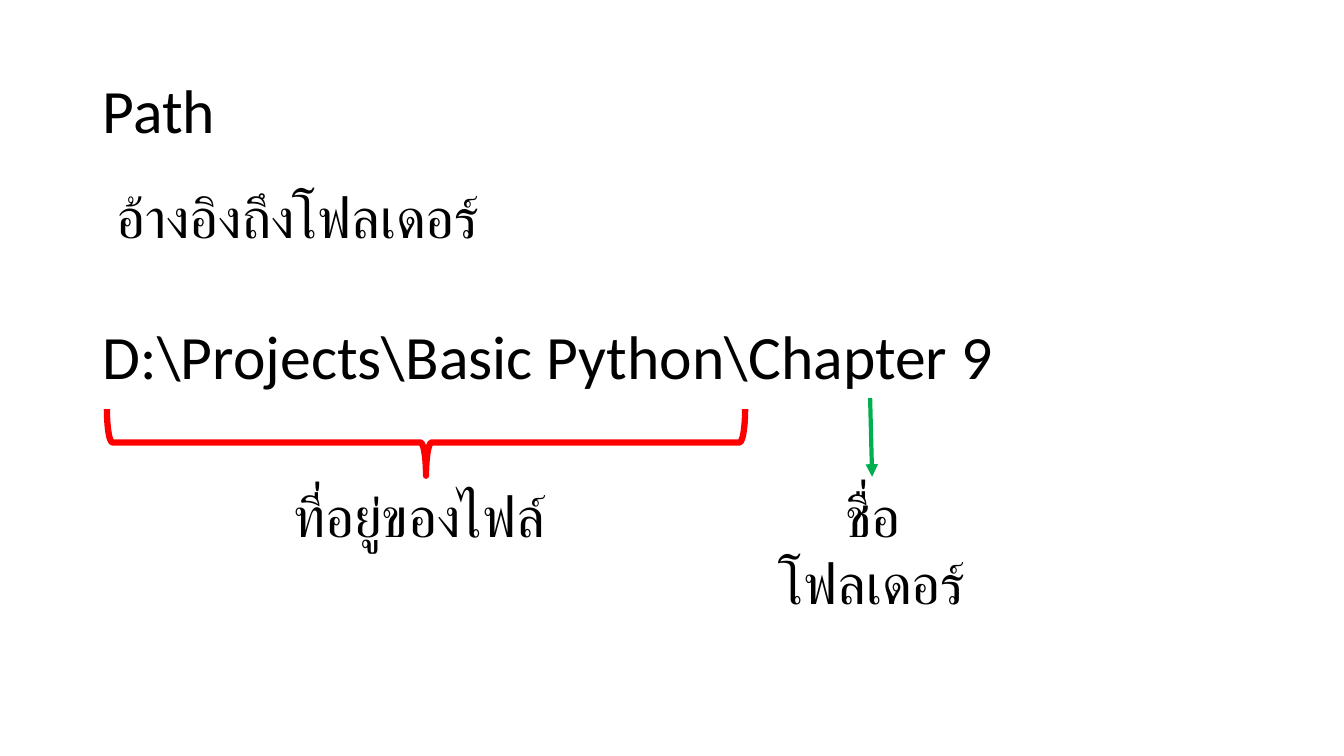
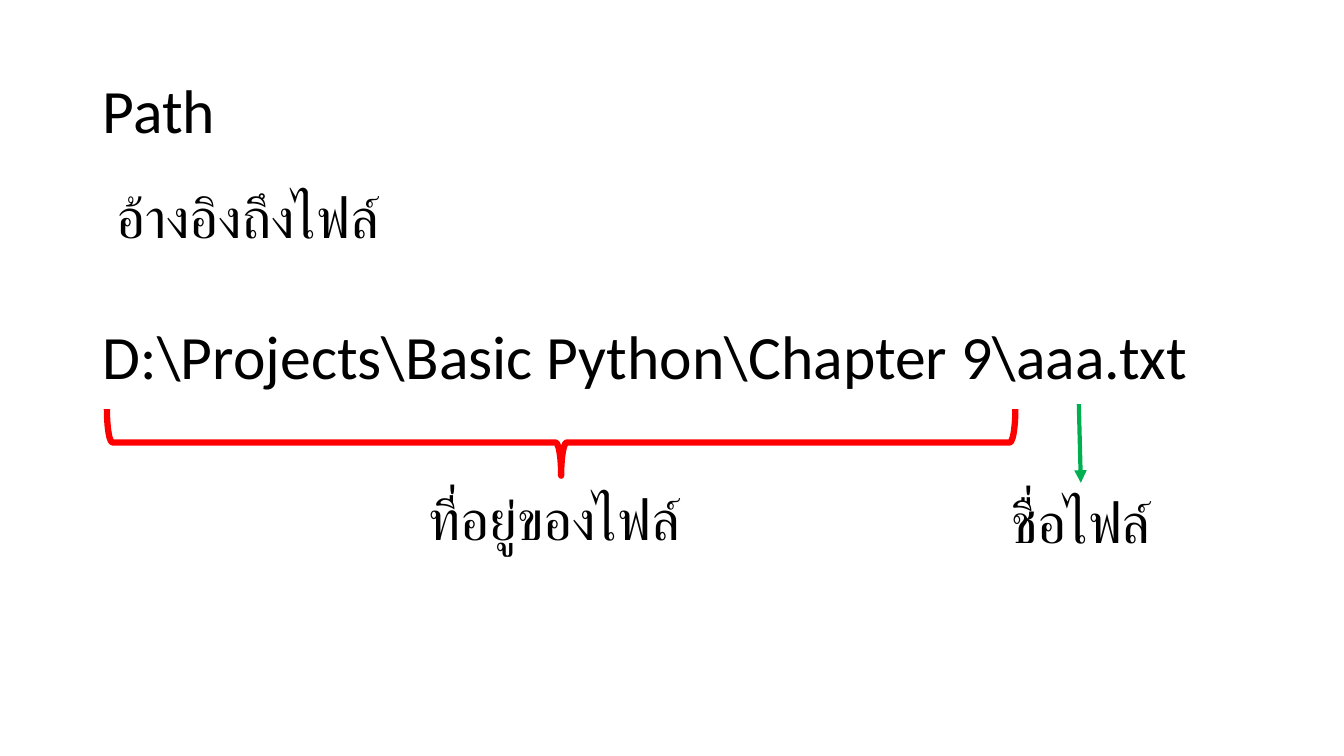
from lxml import etree
from pptx import Presentation
from pptx.dml.color import RGBColor
from pptx.enum.shapes import MSO_CONNECTOR, MSO_SHAPE
from pptx.enum.text import MSO_ANCHOR, MSO_AUTO_SIZE, PP_ALIGN
from pptx.oxml.ns import qn
from pptx.util import Inches, Pt

STRAIGHT, BRACE = MSO_CONNECTOR.STRAIGHT, MSO_SHAPE.RIGHT_BRACE
TOP, MIDDLE = MSO_ANCHOR.TOP, MSO_ANCHOR.MIDDLE
FIT_NONE, FIT_SHAPE = MSO_AUTO_SIZE.NONE, MSO_AUTO_SIZE.SHAPE_TO_FIT_TEXT
LEFT, CENTER = PP_ALIGN.LEFT, PP_ALIGN.CENTER

SLIDES = [
    {"title": "Path", "subtitle": "อ้างอิงถึงโฟลเดอร์",
     "location": r"D:\Projects\Basic Python\Chapter 9",
     "folder_label": "ที่อยู่ของไฟล์ ", "folder_top": 4.73, "brace_length": 6.33,
     "name_label": "ชื่อโฟลเดอร์", "name_at": (7.39, 4.73)},
    {"title": "Path", "subtitle": "อ้างอิงถึงไฟล์",
     "location": r"D:\Projects\Basic Python\Chapter 9\aaa.txt",
     "folder_label": "ที่อยู่ของไฟล์ ", "folder_top": 4.76, "brace_length": 9.01,
     "name_label": "ชื่อไฟล์", "name_at": (9.46, 4.79)},
]

FONT, BLACK, RED, GREEN = "Calibri", "000000", "FF0000", "00B050"
HEADING_SIZE, LABEL_SIZE = 44, 40
TITLE_BOX = (0.92, 0.4, 11.5, 1.45)
LOCATION_BOX = (0.92, 3.19, 11.5, 0.88)
SUBTITLE_BOX = (1.06, 1.76, 11.06, 0.77)
LABEL_HEIGHT, FOLDER_WIDTH, NAME_WIDTH = 0.77, 3.73, 2.52
BRACE_LEFT, BRACE_MIDDLE, BRACE_DEPTH = 1.06, 4.39, 0.66
ARROW_HEIGHT, ARROW_INSET, ARROW_SLANT = 0.78, 1.24, 0.02
HEADING = {"line_spacing": 0.9, "alignment": LEFT}


def color(hex_code):
    """Turn a hex string into a colour."""
    return RGBColor.from_string(hex_code)


def set_line(sp, hex_code, width):
    """Colour and size the line of a shape or connector."""
    sp.line.color.rgb = color(hex_code)
    sp.line.width = Pt(width)


def write(sp, text, size, paragraph, frame):
    """Write one formatted paragraph into a shape."""
    tf = sp.text_frame
    p = tf.paragraphs[0]
    r = p.add_run()
    r.text = text
    r.font.color.rgb = color(BLACK)
    formats = [
        (tf, {"word_wrap": True, **frame}),
        (p, paragraph),
        (r.font, {"name": FONT, "size": Pt(size)}),
    ]
    for target, values in formats:
        for name, value in values.items():
            setattr(target, name, value)
    return p


def fill_placeholder(sp, box, text, anchor, space_before):
    """Move a placeholder and give it unbulleted heading text."""
    sp.left, sp.top, sp.width, sp.height = map(Inches, box)
    p = write(sp, text, HEADING_SIZE, {**HEADING, "space_before": Pt(space_before)},
              {"vertical_anchor": anchor, "auto_size": FIT_NONE})
    pPr = p._p.get_or_add_pPr()
    pPr.set("marL", "0")
    pPr.set("indent", "0")
    etree.SubElement(pPr, qn("a:buNone"))


def add_label(s, box, text, alignment):
    """Add a text box that grows with its text."""
    sp = s.shapes.add_textbox(*map(Inches, box))
    write(sp, text, LABEL_SIZE, {"alignment": alignment}, {"auto_size": FIT_SHAPE})


def add_brace(s, center, length):
    """Add a right brace turned to open upwards."""
    box = (center - BRACE_DEPTH / 2, BRACE_MIDDLE - length / 2, BRACE_DEPTH, length)
    sp = s.shapes.add_shape(BRACE, *map(Inches, box))
    sp.rotation = 90
    sp.shadow.inherit = False
    sp.fill.background()
    set_line(sp, RED, 4.5)


def add_arrow(s, x, tip):
    """Add a slightly slanted arrow that ends at height tip."""
    ends = (x, tip - ARROW_HEIGHT, x + ARROW_SLANT, tip)
    sp = s.shapes.add_connector(STRAIGHT, *map(Inches, ends))
    set_line(sp, GREEN, 3)
    etree.SubElement(sp.line._get_or_add_ln(), qn("a:tailEnd"), type="triangle")
    etree.SubElement(sp._element.spPr, qn("a:effectLst"))


def add_path_slide(prs, content):
    """Build one slide that explains the parts of a path."""
    s = prs.slides.add_slide(prs.slide_layouts[1])
    fill_placeholder(s.shapes.title, TITLE_BOX, content["title"], MIDDLE, 0)
    fill_placeholder(s.placeholders[1], LOCATION_BOX, content["location"], TOP, 10)
    center = BRACE_LEFT + content["brace_length"] / 2
    add_brace(s, center, content["brace_length"])
    folder_box = (center - FOLDER_WIDTH / 2, content["folder_top"], FOLDER_WIDTH, LABEL_HEIGHT)
    add_label(s, folder_box, content["folder_label"], CENTER)
    left, top = content["name_at"]
    add_label(s, (left, top, NAME_WIDTH, LABEL_HEIGHT), content["name_label"], CENTER)
    add_arrow(s, left + ARROW_INSET, top)
    add_label(s, SUBTITLE_BOX, content["subtitle"], LEFT)


prs = Presentation()
prs.slide_width, prs.slide_height = Inches(13.33), Inches(7.5)
for content in SLIDES:
    add_path_slide(prs, content)
prs.save("out.pptx")
